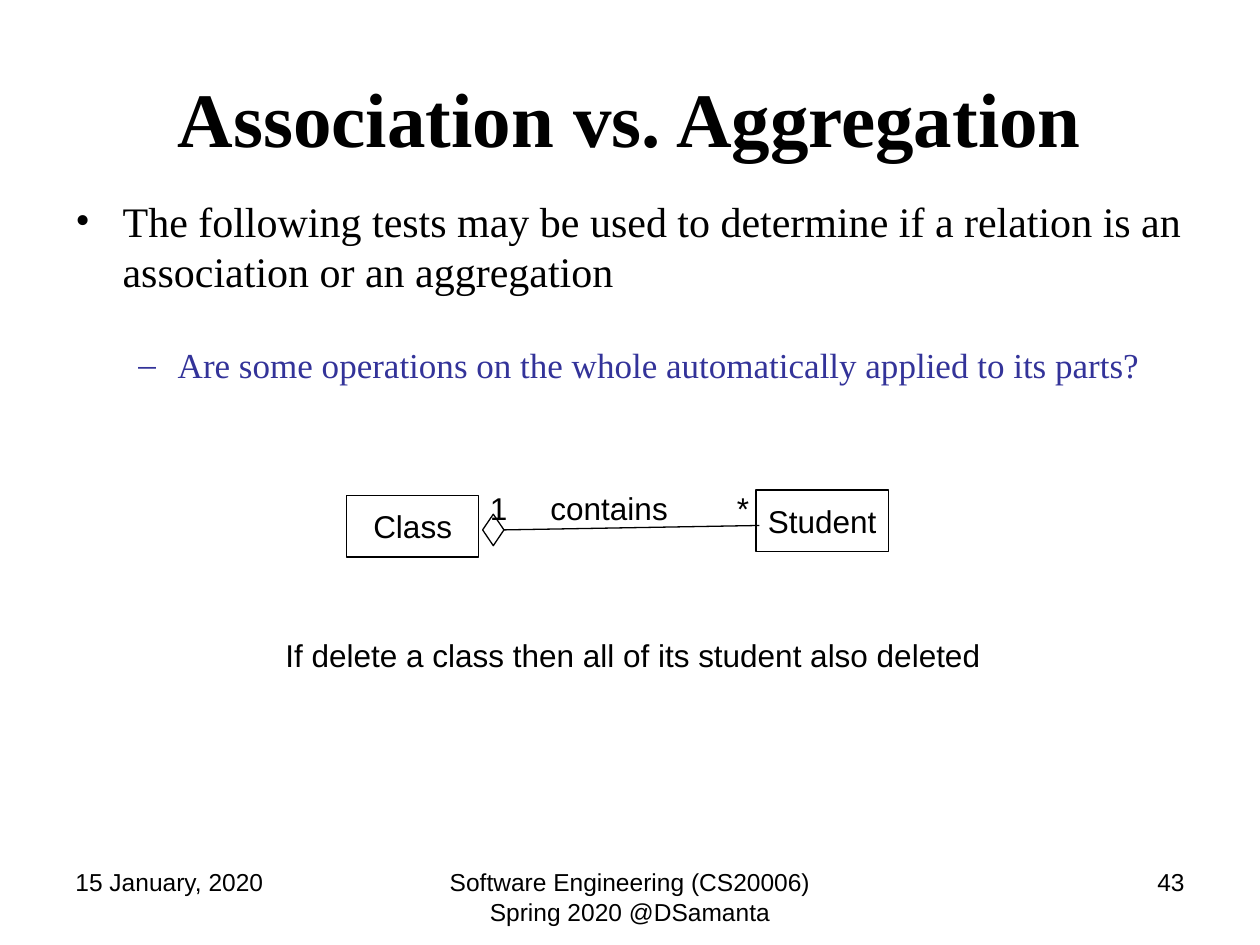
from dataclasses import dataclass

from lxml.etree import SubElement
from pptx import Presentation
from pptx.dml.color import RGBColor
from pptx.enum.shapes import MSO_CONNECTOR, MSO_SHAPE
from pptx.enum.text import MSO_ANCHOR, PP_ALIGN
from pptx.oxml.ns import qn
from pptx.util import Pt


@dataclass(frozen=True)
class Theme:
    serif: str = "Times New Roman"
    sans: str = "Arial"
    black: RGBColor = RGBColor(0x00, 0x00, 0x00)
    blue: RGBColor = RGBColor(0x33, 0x33, 0x99)
    title: int = 44
    body: int = 24
    sub: int = 20
    label: int = 18
    footer: int = 14
    line: float = 0.75


THEME = Theme()


def put_text(p, text, size, font=THEME.sans, color=THEME.black, bold=False,
             **paragraph_format):
    for name, value in paragraph_format.items():
        setattr(p, name, value)
    r = p.add_run()
    r.text = text
    r.font.color.rgb = color
    for name, value in {"size": Pt(size), "name": font, "bold": bold}.items():
        setattr(r.font, name, value)


def add_box(s, box, anchor=MSO_ANCHOR.TOP, wrap=True):
    """Add an empty text box and return its text frame."""
    tf = s.shapes.add_textbox(*map(Pt, box)).text_frame
    for name, value in {"word_wrap": wrap, "vertical_anchor": anchor}.items():
        setattr(tf, name, value)
    return tf


def add_label(s, box, text, size=THEME.label, wrap=True, **paragraph_format):
    tf = add_box(s, box, wrap=wrap)
    put_text(tf.paragraphs[0], text, size, **paragraph_format)


def set_bullet(p, char, left, hanging):
    pPr = p._p.get_or_add_pPr()
    pPr.set("marL", str(Pt(left)))
    pPr.set("indent", str(-Pt(hanging)))
    SubElement(pPr, qn("a:buFont")).set("typeface", THEME.serif)
    SubElement(pPr, qn("a:buChar")).set("char", char)


def add_outline(s, kind, box):
    """Add an unfilled shape with a thin black outline."""
    sp = s.shapes.add_shape(kind, *map(Pt, box))
    sp.shadow.inherit = False
    sp.fill.background()
    sp.line.color.rgb = THEME.black
    sp.line.width = Pt(THEME.line)
    return sp


def add_class(s, left, top, name):
    sp = add_outline(s, MSO_SHAPE.RECTANGLE, (left, top, 75.6, 35.3))
    tf = sp.text_frame
    for key, value in {"word_wrap": False,
                       "vertical_anchor": MSO_ANCHOR.MIDDLE}.items():
        setattr(tf, key, value)
    put_text(tf.paragraphs[0], name, THEME.label, alignment=PP_ALIGN.CENTER)


def add_aggregation(s, diamond, end):
    """Draw the line from the right corner of the diamond to the part."""
    line = s.shapes.add_connector(MSO_CONNECTOR.STRAIGHT, 0, 0, *map(Pt, end))
    line.begin_connect(diamond, 3)
    line.line.color.rgb = THEME.black
    line.line.width = Pt(THEME.line)
    SubElement(line._element.spPr, qn("a:effectLst"))


def add_title(s, text):
    tf = add_box(s, (36, 21.6, 648, 90), MSO_ANCHOR.MIDDLE)
    put_text(tf.paragraphs[0], text, THEME.title, THEME.serif, bold=True,
             alignment=PP_ALIGN.CENTER)


def add_body(s, point, question):
    tf = add_box(s, (36, 108, 648, 374.4))
    p = tf.paragraphs[0]
    put_text(p, point, THEME.body, THEME.serif, space_before=Pt(4.8))
    set_bullet(p, "•", 27, 27)
    p = tf.add_paragraph()
    put_text(p, question, THEME.sub, THEME.serif, THEME.blue,
             space_before=Pt(27))
    set_bullet(p, "–", 58.5, 22.5)


def add_diagram(s):
    add_class(s, 198, 283, "Class")
    add_class(s, 432, 280, "Student")
    diamond = add_outline(s, MSO_SHAPE.FLOWCHART_DECISION,
                          (275.8, 293.8, 12.2, 18))
    add_aggregation(s, diamond, (434, 300.3))
    for left, width, text in ((272.9, 24.4, "1"), (307.5, 83, "contains"),
                              (414, 21.6, "*")):
        add_label(s, (left, 275.8, width, 28.8), text, wrap=False)


def add_footer(s):
    for left, width, text, alignment in (
        (36, 168, "15 January, 2020", PP_ALIGN.LEFT),
        (246, 228, "Software Engineering (CS20006) Spring 2020 @DSamanta",
         PP_ALIGN.CENTER),
        (516, 168, "43", PP_ALIGN.RIGHT),
    ):
        add_label(s, (left, 492, width, 37.5), text, THEME.footer,
                  alignment=alignment)


def main():
    prs = Presentation()
    prs.slide_width, prs.slide_height = Pt(720), Pt(540)
    s = prs.slides.add_slide(prs.slide_layouts[6])
    add_title(s, "Association vs. Aggregation")
    add_body(s, "The following tests may be used to determine if a relation "
                "is an association or an aggregation",
             "Are some operations on the whole automatically applied to its "
             "parts?")
    add_diagram(s)
    add_label(s, (156, 360, 456, 28.8),
              "If delete a class then all of its student also deleted",
              space_before=Pt(9))
    add_footer(s)
    prs.save("out.pptx")


if __name__ == "__main__":
    main()
